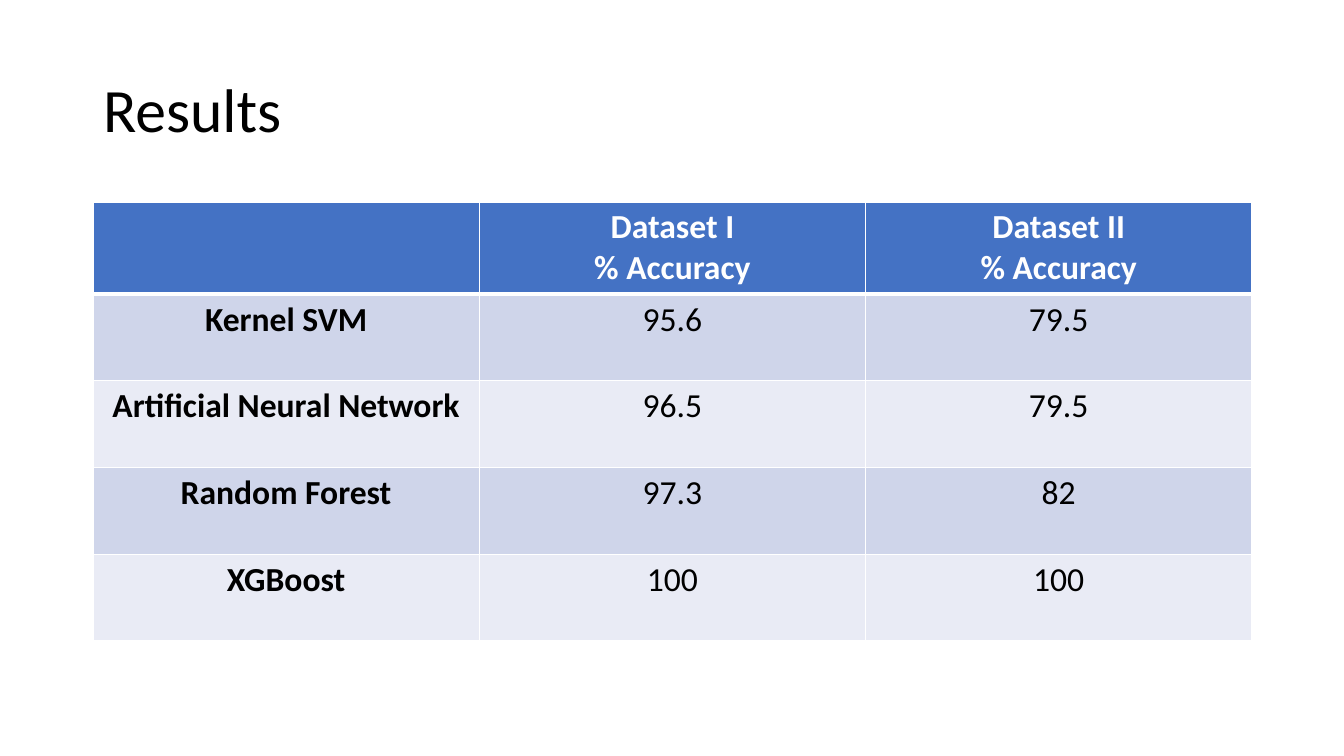
from dataclasses import dataclass

from lxml.etree import SubElement
from pptx import Presentation
from pptx.dml.color import RGBColor
from pptx.enum.text import MSO_ANCHOR as Anchor, PP_ALIGN as Align
from pptx.oxml.ns import qn
from pptx.util import Emu, Pt

EMU_PER_PIXEL = 914400 / 100.8


@dataclass(frozen=True)
class Theme:
    font: str = "Calibri"
    title_size: int = 44
    table_size: int = 24
    ink: str = "000000"
    paper: str = "FFFFFF"
    header: str = "4472C4"
    bands: tuple[str, str] = ("CFD5EA", "E9EBF5")
    thin_line: int = 1
    thick_line: int = 3


@dataclass(frozen=True)
class Result:
    model: str
    first_accuracy: str
    second_accuracy: str


THEME = Theme()
HEADINGS = ("", "Dataset I\n% Accuracy", "Dataset II\n% Accuracy")
RESULTS = (
    Result("Kernel SVM", "95.6", "79.5"),
    Result("Artificial Neural Network", "96.5", "79.5"),
    Result("Random Forest", "97.3", "82"),
    Result("XGBoost", "100", "100"),
)
TABLE_LEFT, TABLE_TOP, TABLE_WIDTH = 93, 202, 1159
HEADER_HEIGHT, BODY_HEIGHT = 90, 347


def px(pixels: float) -> Emu:
    return Emu(round(pixels * EMU_PER_PIXEL))


def style_text(para, size: int, color: str, bold: bool = False) -> None:
    font = para.font
    font.name, font.size, font.bold = THEME.font, Pt(size), bold
    font.color.rgb = RGBColor.from_string(color)


def add_borders(cell, bottom_width: int) -> None:
    properties = cell._tc.get_or_add_tcPr()
    for side in "LRTB":
        width = bottom_width if side == "B" else THEME.thin_line
        line = SubElement(properties, qn(f"a:ln{side}"), w=str(Pt(width)))
        fill = SubElement(line, qn("a:solidFill"))
        SubElement(fill, qn("a:srgbClr"), val=THEME.paper)


def fill_cell(cell, text: str, fill: str, color: str, bold: bool,
              bottom_width: int) -> None:
    add_borders(cell, bottom_width)
    cell.fill.solid()
    cell.fill.fore_color.rgb = RGBColor.from_string(fill)
    cell.text = text
    for para in cell.text_frame.paragraphs:
        para.alignment = Align.CENTER
        style_text(para, THEME.table_size, color, bold)


def add_title(page, text: str) -> None:
    title = page.shapes.title
    title.left, title.top = px(93), px(40)
    title.width, title.height = px(1159), px(146)
    frame = title.text_frame
    frame.text = text
    frame.vertical_anchor = Anchor.MIDDLE
    para = frame.paragraphs[0]
    para.alignment = Align.LEFT
    para.line_spacing = 0.9
    style_text(para, THEME.title_size, THEME.ink)


def add_results(page) -> None:
    table = page.shapes.add_table(
        len(RESULTS) + 1, len(HEADINGS), px(TABLE_LEFT), px(TABLE_TOP),
        px(TABLE_WIDTH), px(HEADER_HEIGHT + BODY_HEIGHT)).table
    table.first_col = True
    for column in table.columns:
        column.width = px(TABLE_WIDTH / len(HEADINGS))

    # Header row
    table.rows[0].height = px(HEADER_HEIGHT)
    for column, heading in enumerate(HEADINGS):
        fill_cell(table.cell(0, column), heading, THEME.header, THEME.paper,
                  True, THEME.thick_line)

    # One banded row per model
    for row, result in enumerate(RESULTS, start=1):
        table.rows[row].height = px(BODY_HEIGHT / len(RESULTS))
        band = THEME.bands[(row - 1) % 2]
        values = (result.model, result.first_accuracy, result.second_accuracy)
        for column, value in enumerate(values):
            fill_cell(table.cell(row, column), value, band, THEME.ink,
                      column == 0, THEME.thin_line)


deck = Presentation()
deck.slide_width, deck.slide_height = px(1344), px(756)
page = deck.slides.add_slide(deck.slide_layouts.get_by_name("Title Only"))
add_title(page, "Results")
add_results(page)
deck.save("out.pptx")
